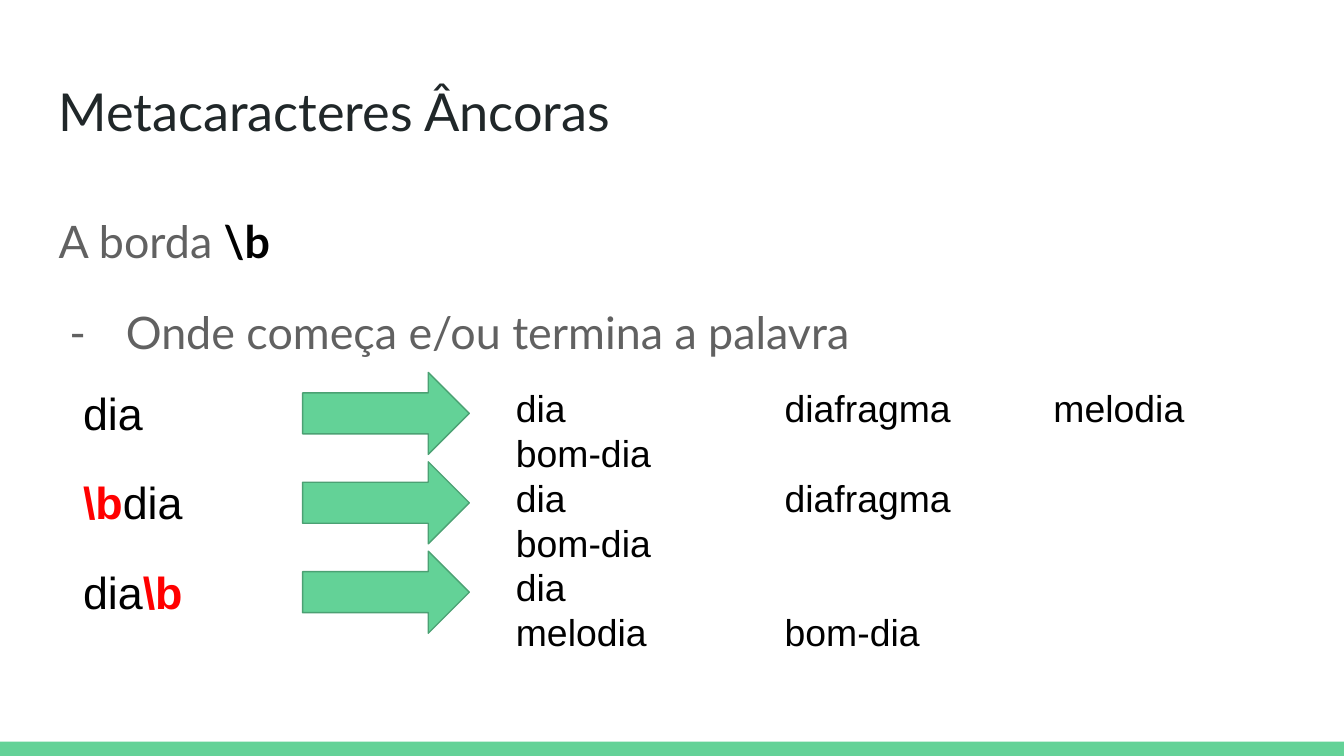
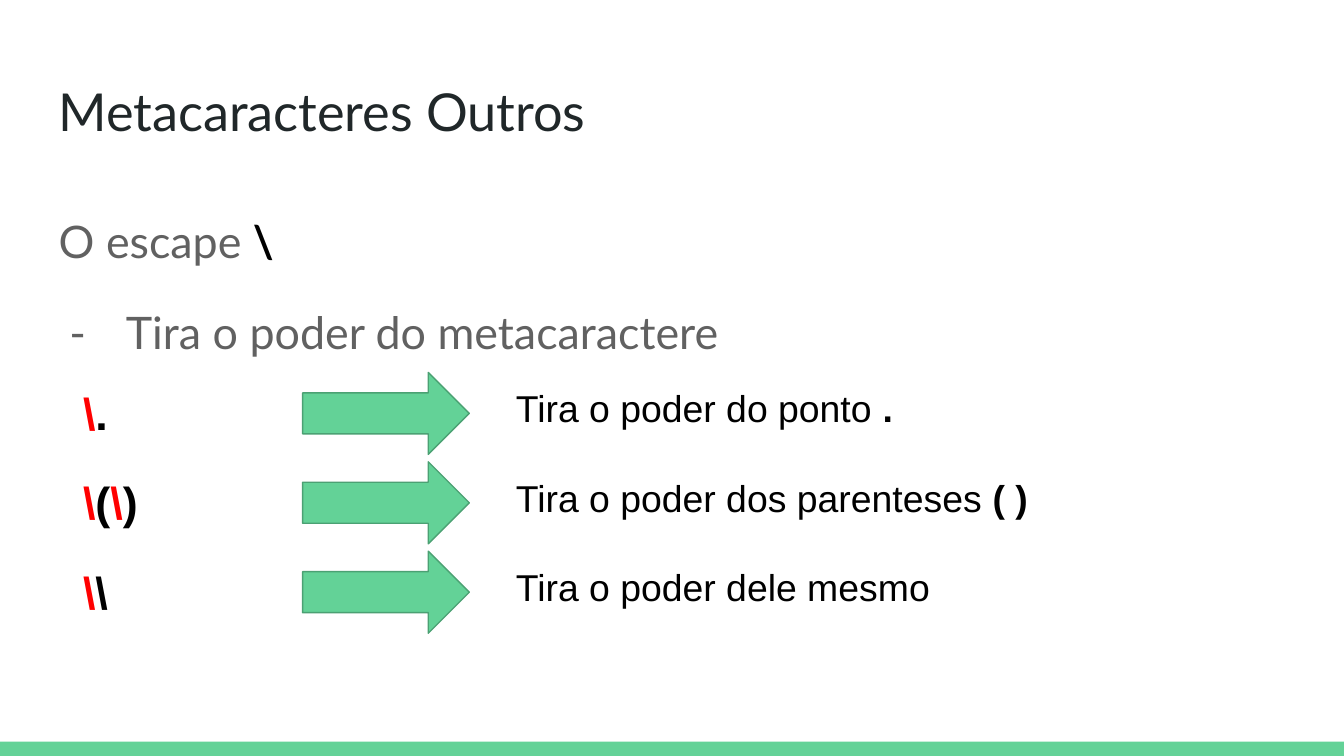
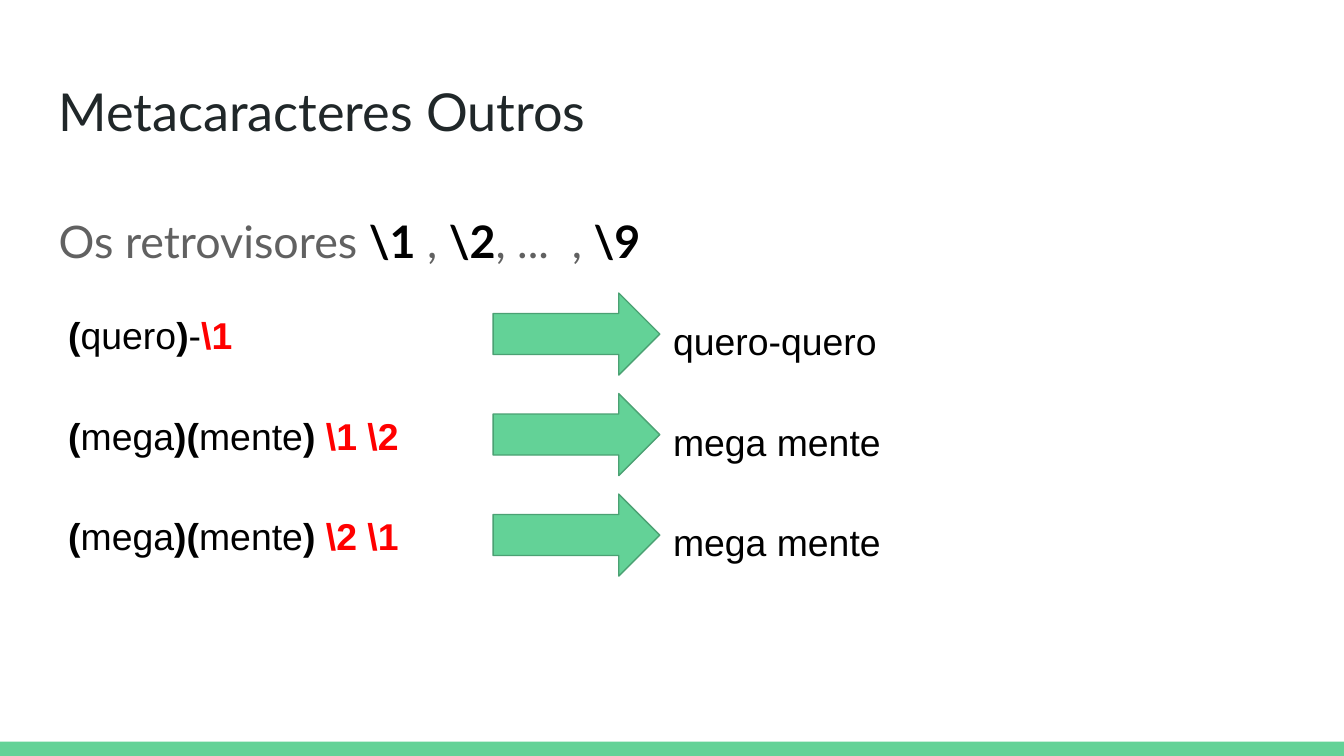
from pptx import Presentation
from pptx.dml.color import RGBColor
from pptx.enum.shapes import MSO_SHAPE
from pptx.enum.text import MSO_ANCHOR, MSO_AUTO_SIZE, PP_ALIGN
from pptx.oxml.ns import qn
from pptx.util import Cm, Pt
from lxml import etree

RECTANGLE = MSO_SHAPE.RECTANGLE
RIGHT_ARROW = MSO_SHAPE.RIGHT_ARROW
TOP = MSO_ANCHOR.TOP
LEFT = PP_ALIGN.LEFT
NO_AUTOFIT = MSO_AUTO_SIZE.NONE

GREEN, DARK_GREEN = "63D297", "4BA173"
INK, GRAY, BLACK, RED = "202729", "616161", "000000", "FF0000"
HEADING_FONT, EXAMPLE_FONT = "Lato", "Arial"
TITLE_ONLY = 5
SLIDE_WIDTH, SLIDE_HEIGHT, BAND_HEIGHT = 25.4, 14.29, 0.27
MARGIN, CONTENT_WIDTH = 0.86, 23.67
INSET = 0.25
TAB_DISTANCE = Cm(2.54)

# Column positions, text size and row spacing of the two example grids
WIDE_RESULTS = dict(
    pattern_left=1.32, pattern_width=4.7, pattern_top=7.04, pattern_size=24,
    arrow_left=5.72, arrow_top=7.04,
    result_left=9.5, result_width=14.88, result_top=7.04, row_step=1.69)
WIDE_PATTERNS = dict(
    pattern_left=1.04, pattern_width=7.54, pattern_top=5.66, pattern_size=20,
    arrow_left=9.32, arrow_top=5.54,
    result_left=12.47, result_width=13.36, result_top=5.77, row_step=1.9)


def rgb(color):
    return RGBColor.from_string(color)


def bold(text, color=BLACK):
    return text, color, True


def red(text):
    return bold(text, RED)


def write(para, spans, size=20, font=EXAMPLE_FONT, color=BLACK):
    """Fill a paragraph with plain strings and (text, color, bold) spans."""
    para.alignment = LEFT
    for span in spans:
        text, span_color, is_bold = (span, color, False) if isinstance(span, str) else span
        run = para.add_run()
        run.text = text
        run.font.name = font
        run.font.size = Pt(size)
        run.font.bold = is_bold
        run.font.color.rgb = rgb(span_color)


def prepare_frame(frame):
    frame.word_wrap = True
    frame.auto_size = NO_AUTOFIT
    frame.vertical_anchor = TOP
    frame.margin_left = frame.margin_right = Cm(INSET)
    frame.margin_top = frame.margin_bottom = Cm(INSET)
    return frame


def add_frame(page, left, top, width, height):
    box = page.shapes.add_textbox(Cm(left), Cm(top), Cm(width), Cm(height))
    return prepare_frame(box.text_frame)


def add_example(page, spans, left, top, width, height, size=20):
    para = add_frame(page, left, top, width, height).paragraphs[0]
    write(para, spans, size=size)
    para._p.get_or_add_pPr().set("defTabSz", str(TAB_DISTANCE))


def add_filled_shape(page, kind, left, top, width, height, outline=None):
    shape = page.shapes.add_shape(kind, Cm(left), Cm(top), Cm(width), Cm(height))
    shape.shadow.inherit = False
    shape.fill.solid()
    shape.fill.fore_color.rgb = rgb(GREEN)
    if outline:
        shape.line.color.rgb = rgb(outline)
        shape.line.width = Pt(0.75)
    else:
        shape.line.fill.background()


def add_dash(para):
    """Give the paragraph a hanging gray dash."""
    properties = para._p.get_or_add_pPr()
    properties.set("marL", str(Cm(1.27)))
    properties.set("indent", str(Cm(-1.07)))
    bullet_color = etree.SubElement(properties, qn("a:buClr"))
    etree.SubElement(bullet_color, qn("a:srgbClr"), val=GRAY)
    etree.SubElement(properties, qn("a:buFont"), typeface=HEADING_FONT)
    etree.SubElement(properties, qn("a:buChar"), char="-")


def add_page(deck, title):
    page = deck.slides.add_slide(deck.slide_layouts[TITLE_ONLY])
    add_filled_shape(page, RECTANGLE, 0, SLIDE_HEIGHT - BAND_HEIGHT, SLIDE_WIDTH, BAND_HEIGHT)
    heading = page.shapes.title
    heading.left, heading.top = Cm(MARGIN), Cm(1.24)
    heading.width, heading.height = Cm(CONTENT_WIDTH), Cm(1.6)
    frame = prepare_frame(heading.text_frame)
    write(frame.paragraphs[0], [title], size=28, font=HEADING_FONT, color=INK)
    return page


def add_topic(page, spans, explanation=None):
    frame = add_frame(page, MARGIN, 3.63, CONTENT_WIDTH, 9.04)
    paras = [frame.paragraphs[0]]
    write(paras[0], spans, size=24, font=HEADING_FONT, color=GRAY)
    if explanation:
        paras.append(frame.add_paragraph())
        write(paras[1], [explanation], size=24, font=HEADING_FONT, color=GRAY)
    for para in paras:
        para.line_spacing = 1.15
        para.space_after = Pt(16)
    if explanation:
        add_dash(paras[1])


def add_examples(page, rows, grid):
    """Lay out one pattern, arrow and result per row."""
    for index, (pattern, result) in enumerate(rows):
        shift = index * grid["row_step"]
        add_example(page, pattern, grid["pattern_left"], grid["pattern_top"] + shift,
                    grid["pattern_width"], 1.32, size=grid["pattern_size"])
        add_filled_shape(page, RIGHT_ARROW, grid["arrow_left"], grid["arrow_top"] + shift,
                         3.15, 1.55, outline=DARK_GREEN)
        add_example(page, result, grid["result_left"], grid["result_top"] + shift,
                    grid["result_width"], 1.55)


def mega_mente(references):
    return [bold("("), "mega", bold(")("), "mente", bold(") "), red(references)]


def main():
    deck = Presentation()
    deck.slide_width, deck.slide_height = Cm(SLIDE_WIDTH), Cm(SLIDE_HEIGHT)

    page = add_page(deck, "Metacaracteres Âncoras")
    add_topic(page, ["A borda ", bold(r"\b")], "Onde começa e/ou termina a palavra")
    add_examples(page, [
        (["dia"], ["dia\t\tdiafragma\tmelodia\t\tbom-dia"]),
        ([red(r"\b"), "dia"], ["dia\t\tdiafragma\t\t\t\tbom-dia\t"]),
        (["dia", red(r"\b")], ["dia\t\t\t\t\tmelodia\t\tbom-dia\t"]),
    ], WIDE_RESULTS)

    page = add_page(deck, "Metacaracteres Outros")
    add_topic(page, ["O escape ", bold("\\")], "Tira o poder do metacaractere")
    add_examples(page, [
        ([red("\\"), bold(".")], ["Tira o poder do ponto ", bold(".")]),
        ([red("\\"), bold("("), red("\\"), bold(")")],
         ["Tira o poder dos parenteses ", bold("( )")]),
        ([red("\\"), bold("\\")], ["Tira o poder dele mesmo"]),
    ], WIDE_RESULTS)

    page = add_page(deck, "Metacaracteres Outros")
    add_topic(page, ["Os retrovisores ", bold(r"\1"), " , ", bold(r"\2"),
                     ", ...  , ", bold(r"\9")])
    add_examples(page, [
        ([bold("("), "quero", bold(")"), "-", red(r"\1")], ["quero-quero"]),
        (mega_mente(r"\1 \2"), ["mega mente"]),
        (mega_mente(r"\2 \1"), ["mega mente"]),
    ], WIDE_PATTERNS)

    deck.save("out.pptx")


if __name__ == "__main__":
    main()
